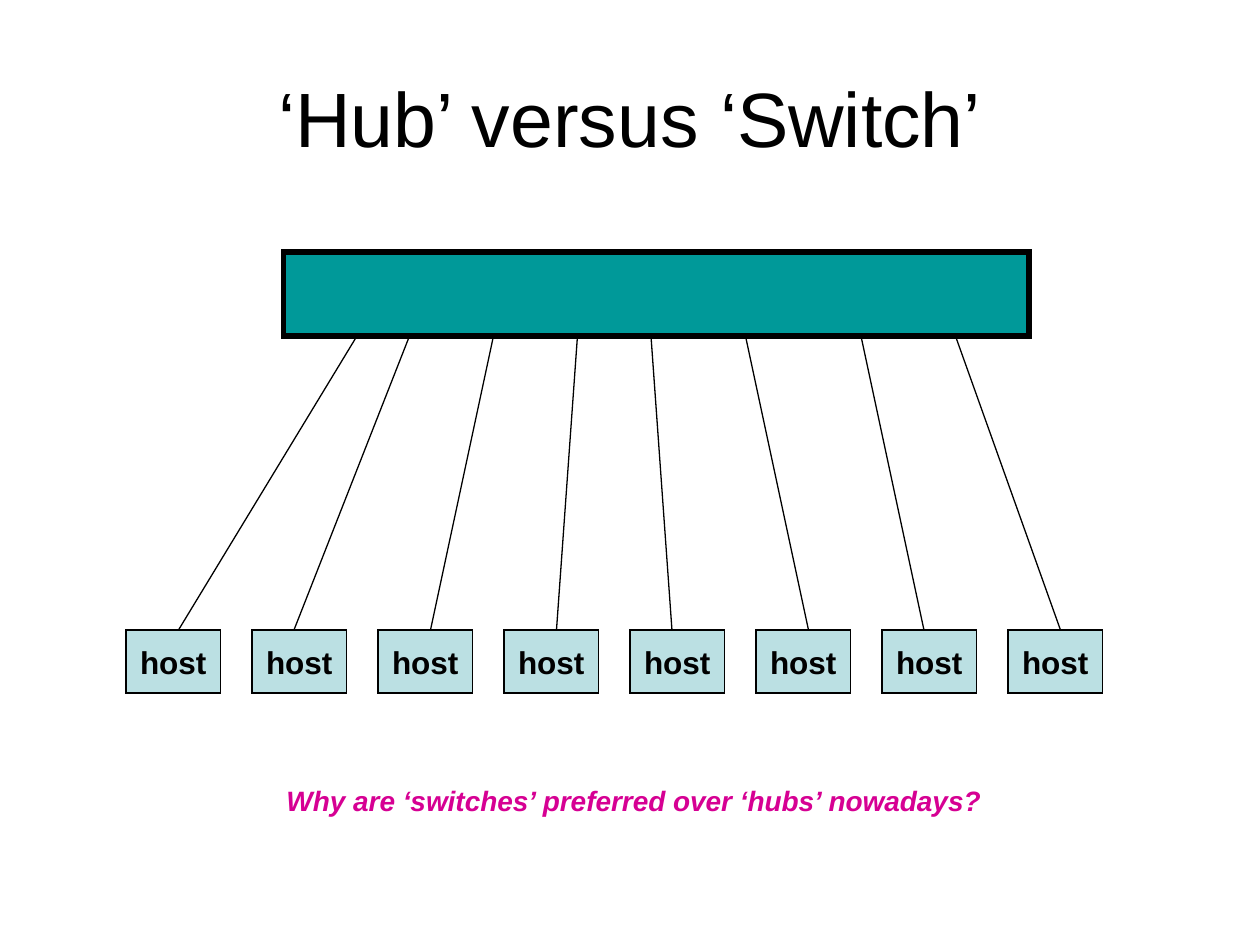
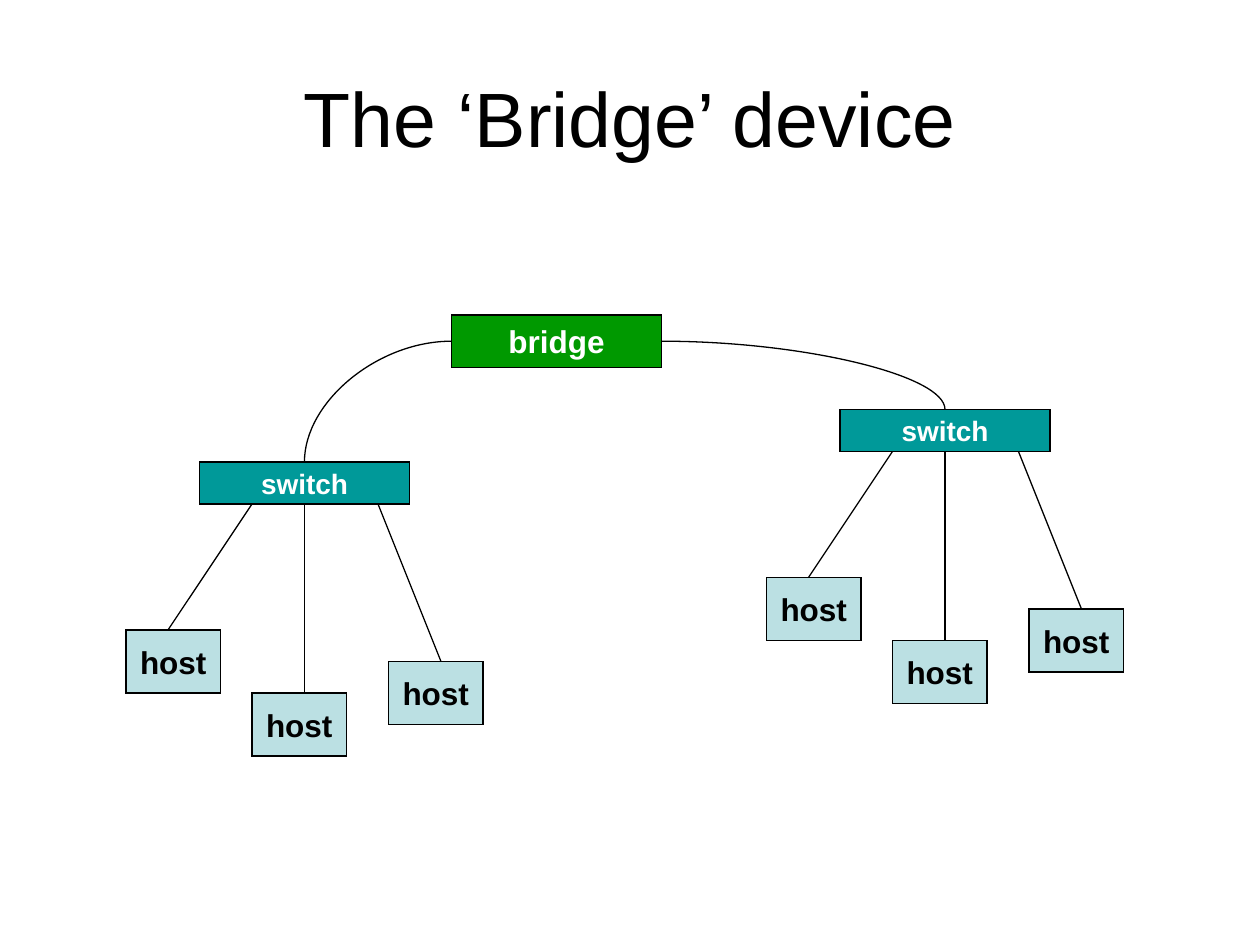
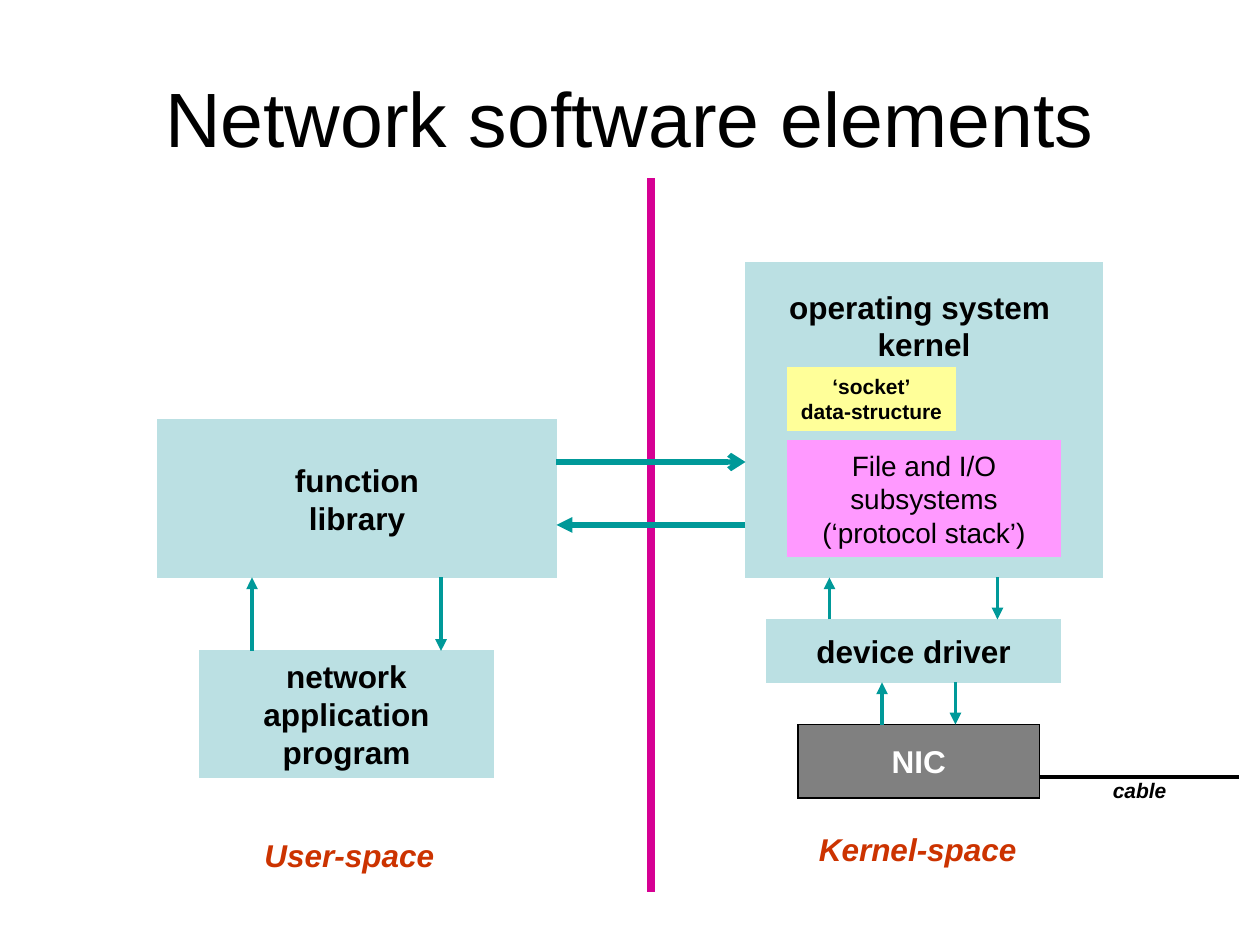
from pptx import Presentation
from pptx import util as u
from pptx.dml.color import RGBColor
from pptx.enum import shapes, text
from pptx.oxml.ns import qn
from lxml import etree

FONT = "Arial"
COLORS = {
    "black": "000000", "white": "FFFFFF", "teal": "009999", "pale": "BBE0E3",
    "green": "009900", "magenta": "D60093", "rust": "CC3300", "gray": "808080",
    "yellow": "FFFF99", "pink": "FF99FF",
}

# All places are in grid units of a twelfth of an inch: left, top, width, height.
UNIT_CM = 2.54 / 12
SLIDE_SIZE = (120, 90)
TITLE_PLACE = (6, 3.6, 108, 15)
HOST_SIZE = (9, 6)
SWITCH_SIZE = (20, 4)

# Hub and switch
HUB_PLACE = (27, 24, 71, 8)
HOST_ROW = {"left": 12, "top": 60, "step": 12}
HUB_CABLES = [(17, 34), (28, 39), (41, 47), (53, 55),
              (64, 62), (77, 71), (88, 82), (101, 91)]  # x at host, x at hub
QUESTION = ("Why are ‘switches’ preferred over ‘hubs’ nowadays?", (26.1, 74, 68.8, 4.4))

# Bridge
BRIDGE_PLACE = (43, 30, 20, 5)
SWITCHES = [((19, 44), 1), ((80, 39), 3)]  # corner, side of the bridge
# Relative to the corner of the switch: host corner, x at host, x at switch
SWITCH_HOSTS = [((-7, 16), -3, 5), ((5, 22), 10, 10), ((18, 19), 23, 17)]

# Network software: text, place, fill, and further options
SOFTWARE_BOXES = [
    ("operating system \nkernel", (71, 25, 34, 30), "pale", {"top_margin": 2.4}),
    ("network\napplication\nprogram", (19, 62, 28, 12), "pale", {}),
    ("function\nlibrary", (15, 40, 38, 15), "pale", {}),
    ("NIC", (76, 69, 23, 7), "gray", {"outline": "black", "color": "white"}),
    ("device driver", (73, 59, 28, 6), "pale", {}),
    ("‘socket’\ndata-structure", (75, 35, 16, 6), "yellow", {"size": 12}),
    ("File and I/O\nsubsystems\n(‘protocol stack’)", (75, 42, 26, 11), "pink",
     {"size": 16, "bold": False}),
]
DIVIDER = ((62, 17), (62, 85))
CALL_ARROWS = [((53, 44), (71, 44), "arrow"), ((71, 50), (53, 50), "triangle")]
VERTICAL_ARROWS = [(24, 62, 55), (42, 55, 62), (95, 55, 59),
                   (91, 65, 69), (84, 69, 65), (79, 59, 55)]  # x, from y, to y
CABLE = ((99, 74), (118, 74))
SOFTWARE_LABELS = [
    ("User-space", (24, 79, 18.6, 4.8), 18, "rust"),
    ("Kernel-space", (76.8, 78.5, 21.5, 4.8), 18, "rust"),
    ("cable", (104.8, 73.5, 7.7, 3.6), 12, "black"),
]


def grid(*values):
    """Turn grid units into lengths."""
    return [u.Cm(value * UNIT_CM) for value in values]


def rgb(name):
    return RGBColor.from_string(COLORS[name])


def write(frame, words, size, color="black", bold=False, italic=False,
          align=text.PP_ALIGN.CENTER):
    frame.text = words
    for paragraph in frame.paragraphs:
        paragraph.alignment = align
        for run in paragraph.runs:
            font = run.font
            font.name, font.size = FONT, u.Pt(size)
            font.bold, font.italic = bold, italic
            font.color.rgb = rgb(color)


def add_slide(presentation, title):
    slide = presentation.slides.add_slide(presentation.slide_layouts[5])
    shape = slide.shapes.title
    shape.left, shape.top, shape.width, shape.height = grid(*TITLE_PLACE)
    shape.text_frame.vertical_anchor = text.MSO_ANCHOR.MIDDLE
    write(shape.text_frame, title, 44)
    return slide


def add_box(slide, words, place, fill, outline=None, width=0.75, size=18,
            color="black", bold=True, top_margin=None):
    """Add a rectangle; a top margin moves its text from the middle to the top."""
    box = slide.shapes.add_shape(shapes.MSO_SHAPE.RECTANGLE, *grid(*place))
    box.shadow.inherit = False
    box.fill.solid()
    box.fill.fore_color.rgb = rgb(fill)
    box.line.color.rgb = rgb(outline or fill)
    box.line.width = u.Pt(width)
    outline_properties = box._element.spPr.find(qn("a:ln"))
    etree.SubElement(outline_properties, qn("a:miter"), lim="800000")
    frame = box.text_frame
    frame.word_wrap = False
    frame.vertical_anchor = text.MSO_ANCHOR.MIDDLE
    if top_margin is not None:
        frame.vertical_anchor = text.MSO_ANCHOR.TOP
        frame.margin_top = grid(top_margin)[0]
    if words:
        write(frame, words, size, color, bold)
    return box


def add_host(slide, left, top):
    return add_box(slide, "host", (left, top, *HOST_SIZE), "pale", "black")


def add_label(slide, words, place, size, color):
    frame = slide.shapes.add_textbox(*grid(*place)).text_frame
    frame.word_wrap = False
    frame.auto_size = text.MSO_AUTO_SIZE.SHAPE_TO_FIT_TEXT
    write(frame, words, size, color, bold=True, italic=True, align=text.PP_ALIGN.LEFT)


def add_line(slide, start, end, color="black", width=0.75, head=None,
             kind=shapes.MSO_CONNECTOR.STRAIGHT):
    line = slide.shapes.add_connector(kind, *grid(*start, *end))
    line.line.color.rgb = rgb(color)
    line.line.width = u.Pt(width)
    properties = line._element.spPr
    if head:
        etree.SubElement(properties.find(qn("a:ln")), qn("a:tailEnd"), type=head)
    etree.SubElement(properties, qn("a:effectLst"))
    return line


def join_by_curve(slide, bridge, side, switch):
    """Draw a quarter curve from a side of the bridge to the top of a switch."""
    curve = add_line(slide, (0, 0), (1, 1), kind=shapes.MSO_CONNECTOR.CURVE)
    curve.begin_connect(bridge, side)
    curve.end_connect(switch, 0)
    curve._element.spPr.find(qn("a:prstGeom")).set("prst", "curvedConnector2")


def build_hub_slide(presentation):
    slide = add_slide(presentation, "‘Hub’ versus ‘Switch’")
    add_box(slide, "", HUB_PLACE, "teal", "black", width=3)
    hub_bottom = HUB_PLACE[1] + HUB_PLACE[3]
    for index, (host_x, hub_x) in enumerate(HUB_CABLES):
        add_host(slide, HOST_ROW["left"] + index * HOST_ROW["step"], HOST_ROW["top"])
        add_line(slide, (host_x, HOST_ROW["top"]), (hub_x, hub_bottom))
    add_label(slide, *QUESTION, 16, "magenta")


def build_bridge_slide(presentation):
    slide = add_slide(presentation, "The ‘Bridge’ device")
    bridge = add_box(slide, "bridge", BRIDGE_PLACE, "green", "black", color="white")
    switch_width, switch_height = SWITCH_SIZE
    for (left, top), side in SWITCHES:
        switch = add_box(slide, "switch", (left, top, *SWITCH_SIZE), "teal", "black",
                         size=16, color="white")
        for (host_dx, host_dy), host_x, switch_x in SWITCH_HOSTS:
            add_host(slide, left + host_dx, top + host_dy)
            line = add_line(slide, (left + host_x, top + host_dy),
                            (left + switch_x, top + switch_height))
            if switch_x * 2 == switch_width:
                line.end_connect(switch, 2)
        join_by_curve(slide, bridge, side, switch)


def build_software_slide(presentation):
    slide = add_slide(presentation, "Network software elements")
    for words, place, fill, options in SOFTWARE_BOXES:
        add_box(slide, words, place, fill, **options)
    add_line(slide, *DIVIDER, "magenta", 4.5)
    for start, end, head in CALL_ARROWS:
        add_line(slide, start, end, "teal", 3, head)
    for x, start_y, end_y in VERTICAL_ARROWS:
        add_line(slide, (x, start_y), (x, end_y), "teal", 2.25, "triangle")
    add_line(slide, *CABLE, width=2.25)
    for label in SOFTWARE_LABELS:
        add_label(slide, *label)


def main():
    presentation = Presentation()
    presentation.slide_width, presentation.slide_height = grid(*SLIDE_SIZE)
    build_hub_slide(presentation)
    build_bridge_slide(presentation)
    build_software_slide(presentation)
    presentation.save("out.pptx")


if __name__ == "__main__":
    main()
